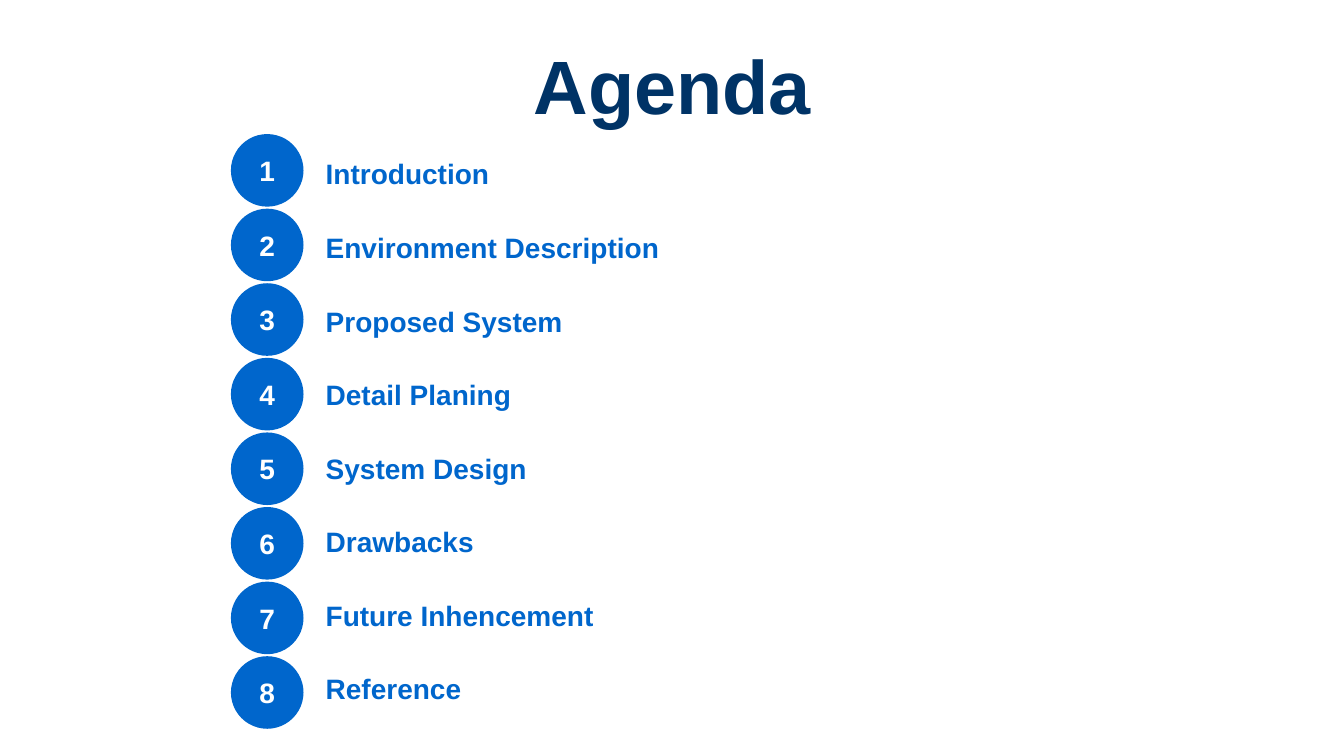
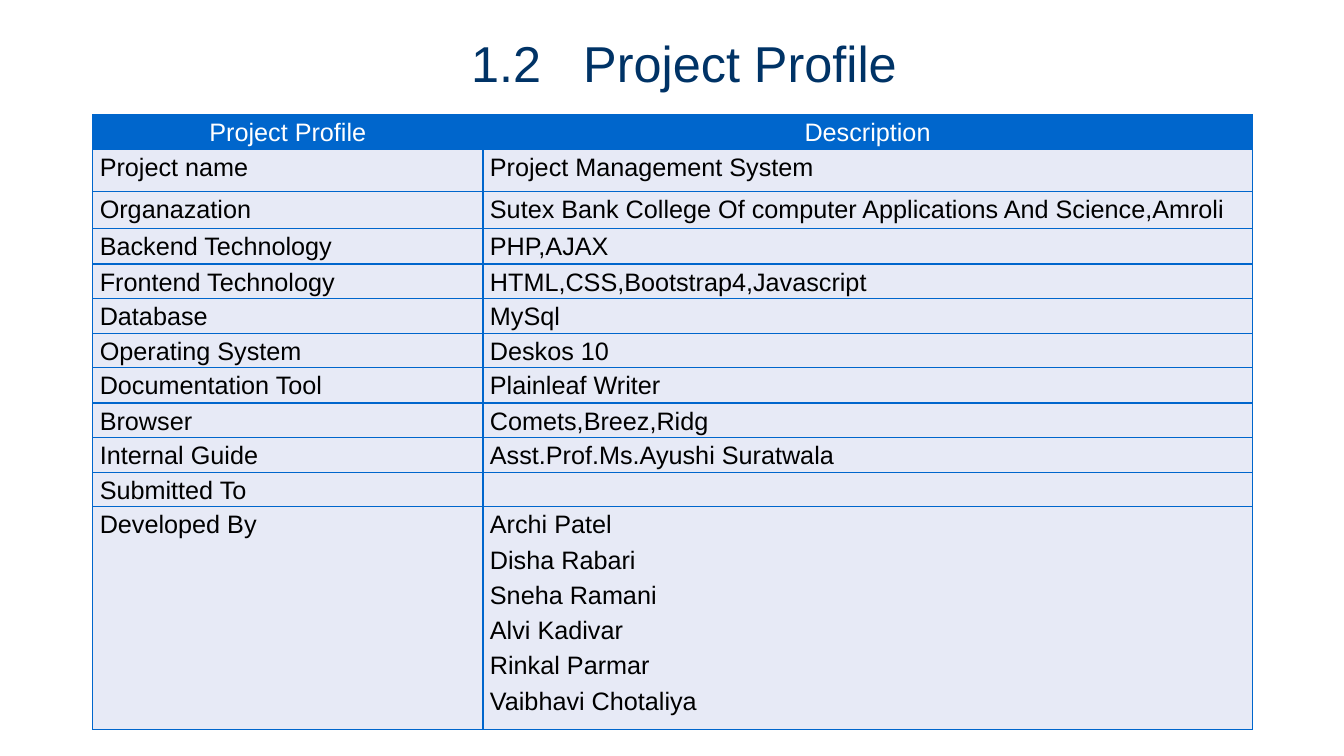
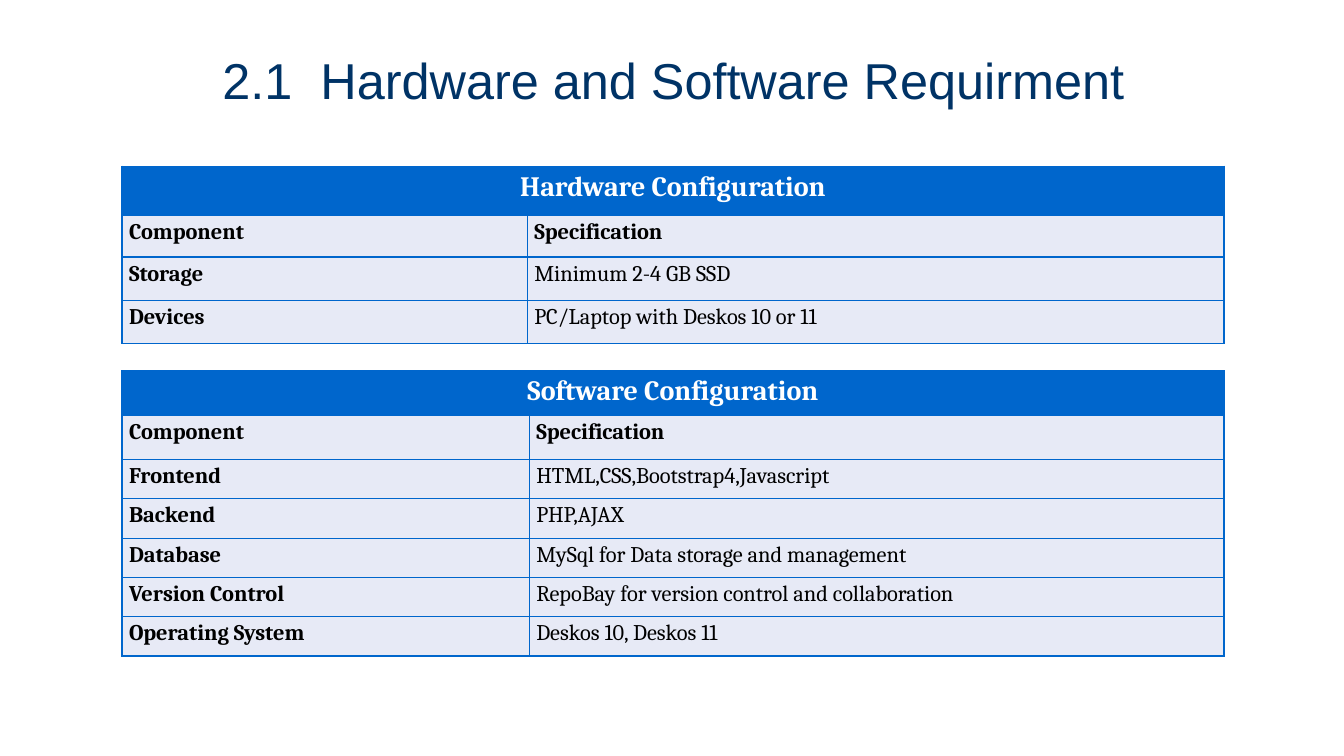
from lxml.etree import SubElement
from pptx import Presentation
from pptx.dml.color import RGBColor
from pptx.enum.shapes import MSO_SHAPE
from pptx.enum.text import MSO_ANCHOR, MSO_AUTO_SIZE, PP_ALIGN
from pptx.oxml.ns import qn
from pptx.util import Pt

PIXEL = 9144
NAVY = RGBColor(0x00, 0x33, 0x66)
BLUE = RGBColor(0x00, 0x66, 0xCC)
PALE = RGBColor(0xE7, 0xEA, 0xF6)
WHITE = RGBColor(0xFF, 0xFF, 0xFF)
BLACK = RGBColor(0x00, 0x00, 0x00)
SANS = "Arial"
SERIF = "Cambria"
TITLE_ONLY = 5

AGENDA = [
    "Introduction", "Environment Description", "Proposed System", "Detail Planing",
    "System Design", "Drawbacks", "Future Inhencement", "Reference",
]
PROFILE = [
    ("Project Profile", "Description"),
    ("Project name", "Project Management System"),
    ("Organazation", "Sutex Bank College Of computer Applications And Science,Amroli"),
    ("Backend Technology", "PHP,AJAX"),
    ("Frontend Technology", "HTML,CSS,Bootstrap4,Javascript"),
    ("Database", "MySql"),
    ("Operating System", "Deskos 10"),
    ("Documentation Tool", "Plainleaf Writer"),
    ("Browser", "Comets,Breez,Ridg"),
    ("Internal Guide", "Asst.Prof.Ms.Ayushi Suratwala"),
    ("Submitted To", ""),
    ("Developed By", "Archi Patel\nDisha Rabari\nSneha Ramani\nAlvi Kadivar\n"
                     "Rinkal Parmar\nVaibhavi Chotaliya"),
]
HARDWARE = [
    ("Hardware Configuration", ""),
    ("Component", "Specification"),
    ("Storage", "Minimum 2-4 GB SSD"),
    ("Devices", "PC/Laptop with Deskos 10 or 11"),
]
SOFTWARE = [
    ("Software Configuration", ""),
    ("Component", "Specification"),
    ("Frontend", "HTML,CSS,Bootstrap4,Javascript"),
    ("Backend", "PHP,AJAX"),
    ("Database", "MySql for Data storage and management"),
    ("Version Control", "RepoBay for version control and collaboration"),
    ("Operating System", "Deskos 10, Deskos 11"),
]


def px(*lengths):
    """Turn pixel lengths into EMU."""
    return [length * PIXEL for length in lengths]


def add_span(para, text, size, color, bold=False, font=SANS):
    """Add one formatted run to a paragraph."""
    span = para.add_run()
    span.text = text
    span.font.name = font
    span.font.size = Pt(size)
    span.font.bold = bold
    span.font.color.rgb = color
    return span


def set_frame(frame, anchor, top=0, side=0, wrap=True):
    """Set the anchor, insets and wrapping of a text frame."""
    frame.auto_size = MSO_AUTO_SIZE.NONE
    frame.word_wrap = wrap
    frame.vertical_anchor = anchor
    frame.margin_top, frame.margin_bottom = px(top, 0)
    frame.margin_left, frame.margin_right = px(side, side)


def add_page(deck, box, top, number, title, size=36, bold=False, gap=0):
    """Add a slide with a centred title, its number set apart by a gap in points."""
    page = deck.slides.add_slide(deck.slide_layouts[TITLE_ONLY])
    holder = page.shapes.title
    holder.left, holder.top, holder.width, holder.height = px(*box)
    set_frame(holder.text_frame, MSO_ANCHOR.TOP, top, side=10)
    para = holder.text_frame.paragraphs[0]
    para.alignment = PP_ALIGN.CENTER
    if number:
        add_span(para, number, size, NAVY, bold)
        space = add_span(para, " ", size, NAVY, bold)
        space.font._element.set("spc", str(gap * 100))
    add_span(para, title, size, NAVY, bold)
    return page


def add_agenda(page, left, top, labels):
    """Place numbered circles in a column with a label beside each."""
    diameter, pitch, label_pitch = 72, 74, 73
    for index, label in enumerate(labels):
        circle = page.shapes.add_shape(
            MSO_SHAPE.OVAL, *px(left, top + index * pitch, diameter, diameter))
        circle.shadow.inherit = False
        circle.fill.solid()
        circle.fill.fore_color.rgb = BLUE
        circle.line.fill.background()
        set_frame(circle.text_frame, MSO_ANCHOR.MIDDLE, wrap=False)
        para = circle.text_frame.paragraphs[0]
        para.alignment = PP_ALIGN.CENTER
        add_span(para, str(index + 1), 20, WHITE, True)

        box = page.shapes.add_textbox(
            *px(left + 94, top + 20 + index * label_pitch, 688, 36))
        set_frame(box.text_frame, MSO_ANCHOR.BOTTOM)
        add_span(box.text_frame.paragraphs[0], label, 20, BLUE, True)


def set_cell(cell, text, fill, align, **style):
    """Give a cell its borders, fill and paragraphs."""
    properties = cell._tc.get_or_add_tcPr()
    for side in ("lnL", "lnR", "lnT", "lnB"):
        border = SubElement(properties, qn(f"a:{side}"), w=str(Pt(1)))
        SubElement(SubElement(border, qn("a:solidFill")), qn("a:srgbClr"), val=str(BLUE))
    cell.fill.solid()
    cell.fill.fore_color.rgb = fill
    cell.margin_left, cell.margin_right, cell.margin_top, cell.margin_bottom = px(7, 7, 0, 0)
    for index, line in enumerate(text.split("\n") if text else []):
        frame = cell.text_frame
        para = frame.add_paragraph() if index else frame.paragraphs[0]
        para.alignment = align
        para.line_spacing = 1.15
        para.space_after = Pt(2)
        add_span(para, line, **style)


def add_grid(page, left, top, widths, heights, rows, font, sizes, banner=False):
    """Place a bordered table; a banner merges the header and bolds the labels."""
    frame = page.shapes.add_table(
        len(rows), len(widths), *px(left, top, sum(widths), sum(heights)))
    grid = frame.table
    grid.horz_banding = False
    for column, width in zip(grid.columns, px(*widths)):
        column.width = width
    for row, height in zip(grid.rows, px(*heights)):
        row.height = height
    for r, texts in enumerate(rows):
        header = r == 0
        for c, text in enumerate(texts):
            set_cell(
                grid.cell(r, c), text,
                BLUE if header else PALE,
                PP_ALIGN.CENTER if header else PP_ALIGN.JUSTIFY,
                size=sizes[0] if header else sizes[1],
                color=WHITE if header else BLACK,
                bold=banner and (r < 2 or c == 0),
                font=font)
    if banner:
        grid.cell(0, 0).merge(grid.cell(0, len(widths) - 1))


def main():
    """Build the three slides and save them."""
    deck = Presentation()
    deck.slide_width, deck.slide_height = px(1333, 750)

    page = add_page(deck, (92, 26, 1150, 91), 13, "", "Agenda", size=54, bold=True)
    add_agenda(page, 229, 133, AGENDA)

    page = add_page(deck, (345, 22, 667, 71), 10, "1.2", "Project Profile", gap=20)
    add_grid(page, 92, 114, (387, 763), [34, 42, 37] + [35, 34] * 4 + [221],
             PROFILE, SANS, (18, 18))

    page = add_page(deck, (181, 44, 974, 65), 5, "2.1",
                    "Hardware and Software Requirment", gap=10)
    add_grid(page, 121, 165, (402, 691), (49, 41, 43, 43),
             HARDWARE, SERIF, (20, 16), banner=True)
    add_grid(page, 121, 368, (404, 689), [44, 44] + [39] * 5,
             SOFTWARE, SERIF, (20, 16), banner=True)
    deck.save("out.pptx")


if __name__ == "__main__":
    main()
